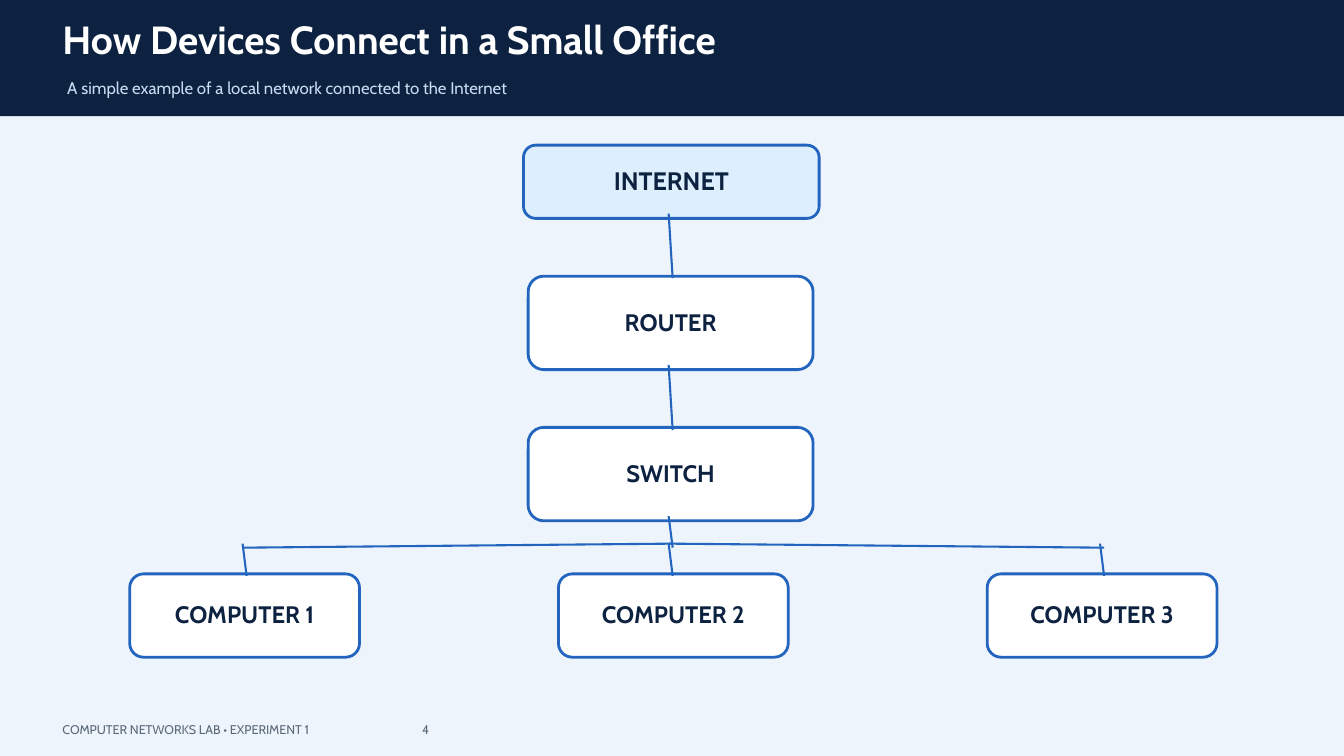
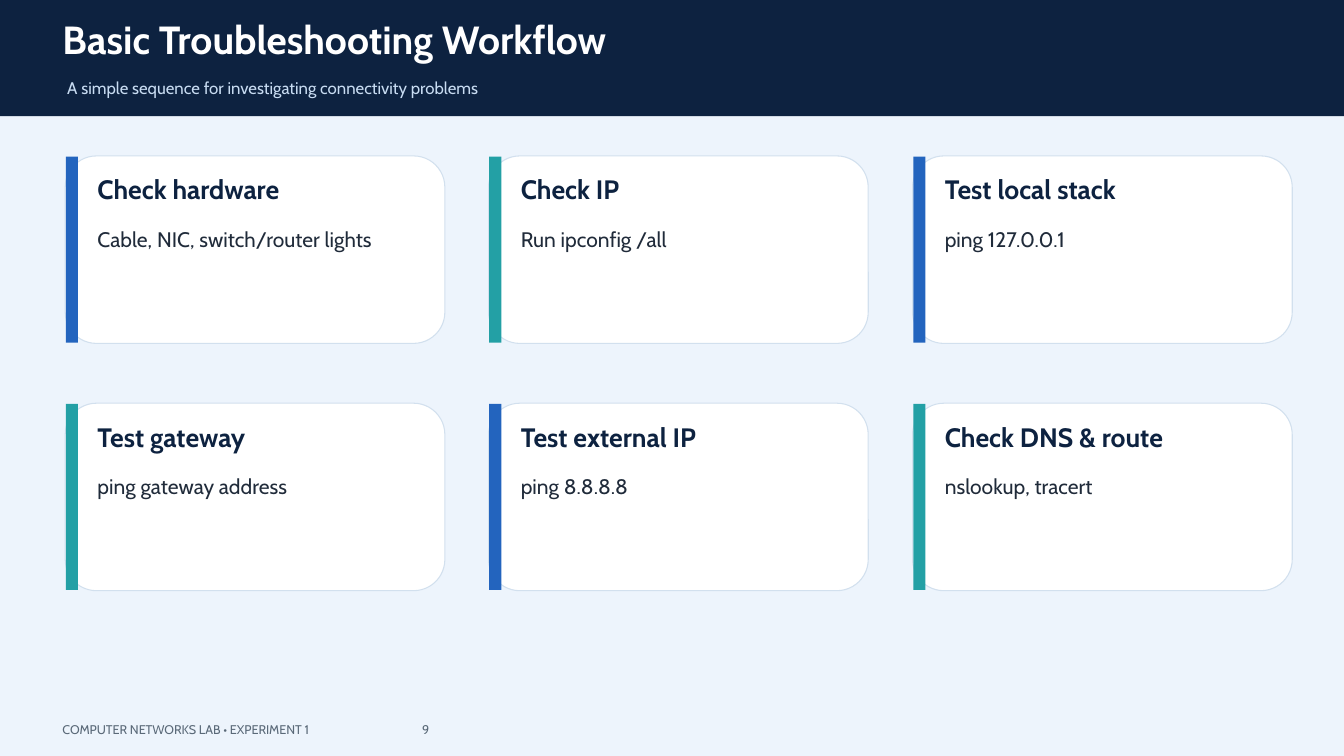
import dataclasses

import lxml.etree
import pptx
import pptx.dml.color
import pptx.enum.shapes
import pptx.enum.text
import pptx.oxml.ns
import pptx.util

PX = 9144  # EMU per px, 100 px to the inch
SHAPE = pptx.enum.shapes.MSO_SHAPE
ALIGN = pptx.enum.text.PP_ALIGN
ANCHOR = pptx.enum.text.MSO_ANCHOR
qn = pptx.oxml.ns.qn


def rgb(value):
    return pptx.dml.color.RGBColor.from_string(value)


@dataclasses.dataclass(frozen=True)
class Theme:
    font: str = "Cabin"
    page: str = "EDF4FC"
    navy: str = "0D2240"
    white: str = "FFFFFF"
    sky: str = "DDEFFC"
    blue: str = "2364BE"
    teal: str = "23A0A5"
    border: str = "D2E0EE"
    # Type styles: size, line spacing, colour, bold
    title: tuple = (42, 50.4, "FFFFFF", True)
    subtitle: tuple = (18, 21.6, "C8DCF2", False)
    cloud: tuple = (27, 32.4, "0D2240", True)
    device: tuple = (25.5, 30.6, "0D2240", True)
    heading: tuple = (28.5, 34.2, "0D2240", True)
    body: tuple = (22.5, 27, "202B3A", False)
    footer: tuple = (13.5, 16.2, "5A6978", False)


class Deck:
    def __init__(self, theme):
        self.theme = theme
        self.prs = pptx.Presentation()
        self.prs.slide_width, self.prs.slide_height = 2000 * PX, 1125 * PX
        self.s = None

    def slide(self, title, subtitle):
        """Start a slide with its background and title band."""
        t = self.theme
        self.s = self.prs.slides.add_slide(self.prs.slide_layouts[6])
        self.s.background.fill.solid()
        self.s.background.fill.fore_color.rgb = rgb(t.page)
        self.box(SHAPE.RECTANGLE, 0, 0, 2002, 173, t.navy)
        self.text(title, 93, 23, 1811, 82, t.title)
        self.text(subtitle, 100, 116, 1781, 39, t.subtitle)

    def footer(self, number):
        p = self.text(f"COMPUTER NETWORKS LAB • EXPERIMENT 1\t{number}",
                      93, 1075, 1811, 26, self.theme.footer)
        tabs = lxml.etree.SubElement(p._p.get_or_add_pPr(), qn("a:tabLst"))
        lxml.etree.SubElement(tabs, qn("a:tab"), pos=str(535 * PX), algn="l")

    def set_text(self, tf, text, style, margins=(0, 0, 0, 0), **frame):
        """Fill a text frame with one styled paragraph."""
        size, spacing, color, bold = style
        sides = ("margin_left", "margin_top", "margin_right", "margin_bottom")
        frame.update(zip(sides, (m * PX for m in margins)), word_wrap=True)
        for key, value in frame.items():
            setattr(tf, key, value)
        p = tf.paragraphs[0]
        p.line_spacing = pptx.util.Pt(spacing)
        r = p.add_run()
        r.text = text
        look = {"name": self.theme.font, "size": pptx.util.Pt(size), "bold": bold}
        for key, value in look.items():
            setattr(r.font, key, value)
        r.font.color.rgb = rgb(color)
        return p

    def text(self, text, x, y, w, h, style):
        sp = self.s.shapes.add_textbox(x * PX, y * PX, w * PX, h * PX)
        return self.set_text(sp.text_frame, text, style,
                             auto_size=pptx.enum.text.MSO_AUTO_SIZE.SHAPE_TO_FIT_TEXT)

    def box(self, kind, x, y, w, h, fill, line=None, weight=0):
        sp = self.s.shapes.add_shape(kind, x * PX, y * PX, w * PX, h * PX)
        sp.shadow.inherit = False
        sp.fill.solid()
        sp.fill.fore_color.rgb = rgb(fill)
        if line:
            sp.line.color.rgb = rgb(line)
            sp.line.width = pptx.util.Pt(weight)
        else:
            sp.line.fill.background()
        return sp

    def node(self, label, x, y, w, h, fill, style):
        sp = self.box(SHAPE.ROUNDED_RECTANGLE, x, y, w, h, fill, self.theme.blue, 3)
        p = self.set_text(sp.text_frame, label, style, (6, 2, 6, 6),
                          vertical_anchor=ANCHOR.MIDDLE)
        p.alignment = ALIGN.CENTER

    def link(self, x1, y1, x2, y2):
        sp = self.s.shapes.add_connector(
            pptx.enum.shapes.MSO_CONNECTOR.STRAIGHT, x1 * PX, y1 * PX, x2 * PX, y2 * PX)
        sp.line.color.rgb = rgb(self.theme.blue)
        sp.line.width = pptx.util.Pt(2.25)
        lxml.etree.SubElement(sp._element.spPr, qn("a:effectLst"))

    def card(self, heading, body, x, y, accent):
        t = self.theme
        self.box(SHAPE.ROUNDED_RECTANGLE, x, y, 565, 279, t.white, t.border, 1.13)
        self.box(SHAPE.RECTANGLE, x + 1, y + 1, 18, 277, accent)
        self.text(heading, x + 48, y + 26, 483, 64, t.heading)
        self.text(body, x + 48, y + 105, 483, 154, t.body)


def network_slide(d):
    t = d.theme
    d.slide("How Devices Connect in a Small Office",
            "A simple example of a local network connected to the Internet")

    # Devices
    d.node("INTERNET", 779, 216, 440, 109, t.sky, t.cloud)
    d.node("ROUTER", 786, 411, 424, 139, t.white, t.device)
    d.node("SWITCH", 786, 636, 424, 139, t.white, t.device)
    for i in range(3):
        d.node(f"COMPUTER {i + 1}", 193 + 638 * i, 854, 342, 124, t.white, t.device)

    # Trunk, bus and drops, each vertical leaning by 6 px
    trunk, left, right = 998, 364, 1640
    bus = 809
    verticals = [(trunk, 318, 414), (trunk, 543, 640), (trunk, 768, bus + 6)]
    verticals += [(x, bus, 857) for x in (left, trunk, right)]
    for x, top, bottom in verticals:
        d.link(x - 3, top, x + 3, bottom)
    d.link(trunk + 3, bus, left - 3, bus + 6)
    d.link(trunk - 3, bus, right + 3, bus + 6)
    d.footer(4)


def workflow_slide(d):
    d.slide("Basic Troubleshooting Workflow",
            "A simple sequence for investigating connectivity problems")
    steps = [
        ("Check hardware", "Cable, NIC, switch/router lights"),
        ("Check IP", "Run ipconfig /all"),
        ("Test local stack", "ping 127.0.0.1"),
        ("Test gateway", "ping gateway address"),
        ("Test external IP", "ping 8.8.8.8"),
        ("Check DNS & route", "nslookup, tracert"),
    ]

    # Three columns, two rows, alternating accents
    accents = (d.theme.blue, d.theme.teal)
    for i, (heading, body) in enumerate(steps):
        row, col = divmod(i, 3)
        d.card(heading, body, 97 + 1261 * col // 2, 232 + 368 * row, accents[i % 2])
    d.footer(9)


def main():
    d = Deck(Theme())
    network_slide(d)
    workflow_slide(d)
    d.prs.save("out.pptx")


if __name__ == "__main__":
    main()
